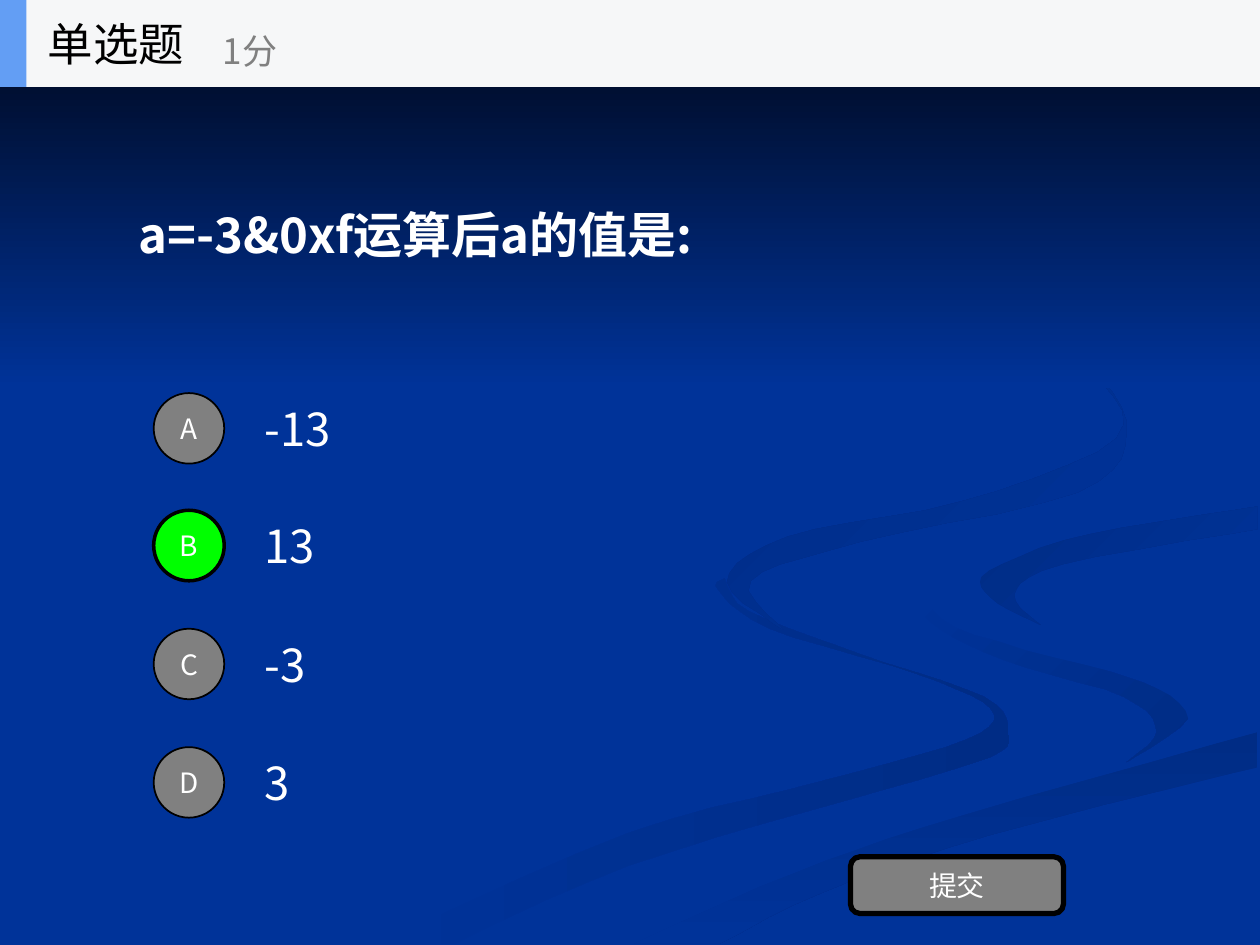
from lxml import etree
from pptx import Presentation
from pptx.dml.color import RGBColor
from pptx.enum.shapes import MSO_SHAPE
from pptx.enum.text import MSO_ANCHOR, PP_ALIGN
from pptx.oxml.ns import qn
from pptx.util import Pt

PX = 9144  # 100 px to the inch
STEPS = 5  # straight pieces between two points of a curve
THEME = {
    "font": "Noto Sans CJK SC",
    "blue": "003399", "night": "000514", "shade": "002C85",
    "white": "FFFFFF", "black": "000000", "gray": "808080",
    "green": "00FF00", "bar": "F6F7F8", "accent": "639EF4",
    "question": 28, "heading": 26, "answer": 26, "score": 20, "label": 16,
}


def paint(shape, *colors, angle=0, border=0):
    """Fill with one colour, or a gradient of two; border is in points."""
    shape.shadow.inherit = False
    if len(colors) == 1:
        shape.fill.solid()
        shape.fill.fore_color.rgb = RGBColor.from_string(THEME[colors[0]])
    else:
        shape.fill.gradient()
        shape.fill.gradient_angle = -angle % 360
        for stop, color, position in zip(shape.fill.gradient_stops, colors, (0, 1)):
            stop.color.rgb = RGBColor.from_string(THEME[color])
            stop.position = position
    if border:
        shape.line.color.rgb = RGBColor.from_string(THEME["black"])
        shape.line.width = Pt(border)
    else:
        shape.line.fill.background()


def write(shape, text, size, color="white", bold=False, align=PP_ALIGN.LEFT):
    frame = shape.text_frame
    frame.word_wrap = True
    frame.vertical_anchor = MSO_ANCHOR.MIDDLE
    para = frame.paragraphs[0]
    para.alignment = align
    span = para.add_run()
    span.text = text
    span.font.size = Pt(THEME[size])
    span.font.bold = bold
    span.font.color.rgb = RGBColor.from_string(THEME[color])
    span.font.name = THEME["font"]
    east_asian = etree.SubElement(span.font._element, qn("a:ea"))
    east_asian.set("typeface", THEME["font"])


deck = Presentation()
deck.slide_width, deck.slide_height = 1000 * PX, 750 * PX
page = deck.slides.add_slide(deck.slide_layouts[6])
shapes = page.shapes
page.background.fill.solid()
page.background.fill.fore_color.rgb = RGBColor.from_string(THEME["blue"])

# Ribbons in the background: colours, gradient angle, curved edges
low_edge = [(998, 581), (764, 647), (630, 693), (503, 749)]
ribbons = [
    (("blue", "shade"), 0, [
        [(575, 459), (570, 468), (611, 499), (728, 535), (786, 562),
         (767, 587), (652, 620), (499, 661), (300, 749)],
        [(361, 749), (499, 687), (676, 634), (786, 601), (800, 581),
         (781, 553), (682, 519), (594, 485), (575, 459)]]),
    (("blue", "shade"), 45, [
        [(724, 464), (758, 498), (850, 524), (919, 547), (943, 570), (894, 605)],
        [(894, 605), (918, 581), (892, 553), (797, 524), (739, 494), (724, 464)]]),
    (("shade", "blue"), 90, [
        [(571, 749), (649, 710), (785, 663), (998, 609)], low_edge]),
    (("blue",), 0, [
        [(477, 749), (619, 684), (780, 634), (919, 597), (943, 570), (905, 540),
         (793, 509), (725, 464), (770, 427), (874, 408), (999, 387)],
        [(999, 402), (822, 434), (781, 463), (848, 503), (999, 538)], low_edge]),
    (("shade", "blue"), 45, [
        [(998, 402), (865, 424), (785, 453), (786, 474), (826, 496)],
        [(826, 496), (805, 472), (843, 448), (998, 420)]]),
    (("shade", "blue"), 45, [
        [(762, 233), (864, 291), (894, 344), (855, 391), (683, 430), (596, 461), (622, 500)],
        [(622, 500), (577, 462), (625, 426), (763, 398), (886, 348), (862, 292), (762, 233)]]),
]
for colors, angle, edges in ribbons:
    outline = []
    for edge in edges:
        # Catmull-Rom curve through the points of the edge
        padded = [edge[0], *edge, edge[-1]]
        for a, b, c, d in zip(padded, padded[1:], padded[2:], padded[3:]):
            for step in range(STEPS):
                t = step / STEPS
                outline.append(tuple(
                    round(q + t * (r - p + t * (2 * p - 5 * q + 4 * r - s
                                                + t * (3 * q - p - 3 * r + s))) / 2)
                    for p, q, r, s in zip(a, b, c, d)))
        outline.append(edge[-1])
    builder = shapes.build_freeform(*outline[0], scale=PX)
    builder.add_line_segments(outline[1:], close=True)
    paint(builder.convert_to_shape(), *colors, angle=angle)

# Dark fade at the top
fade = shapes.add_shape(MSO_SHAPE.RECTANGLE, 0, 0, 1000 * PX, 308 * PX)
paint(fade, "night", "blue", angle=90)

# Question
question = shapes.add_textbox(100 * PX, 69 * PX, 800 * PX, 234 * PX)
write(question, "a=-3&0xf运算后a的值是:", "question", bold=True)

# Answers, with the right one marked in green
for row, (letter, answer) in enumerate(zip("ABCD", ("-13", "13", "-3", "3"))):
    top = 305 + 281 * row // 3
    right = letter == "B"
    box = shapes.add_textbox(200 * PX, top * PX, 700 * PX, 70 * PX)
    write(box, answer, "answer")
    circle = shapes.add_shape(MSO_SHAPE.OVAL, 122 * PX, (top + 7) * PX, 56 * PX, 56 * PX)
    paint(circle, "green" if right else "gray", border=2 if right else 1)
    write(circle, letter, "label", align=PP_ALIGN.CENTER)

# Submit button
button = shapes.add_shape(MSO_SHAPE.ROUNDED_RECTANGLE, 675 * PX, 680 * PX, 169 * PX, 45 * PX)
paint(button, "gray", border=3)
write(button, "提交", "label", align=PP_ALIGN.CENTER)

# Title bar
for width, color in ((1000, "bar"), (21, "accent")):
    bar = shapes.add_shape(MSO_SHAPE.RECTANGLE, 0, 0, width * PX, 69 * PX)
    paint(bar, color)
heading = shapes.add_textbox(28 * PX, 0, 208 * PX, 69 * PX)
write(heading, "单选题", "heading", color="black")
score = shapes.add_textbox(167 * PX, 12 * PX, 250 * PX, 56 * PX)
write(score, "1分", "score", color="gray")

deck.save("out.pptx")
